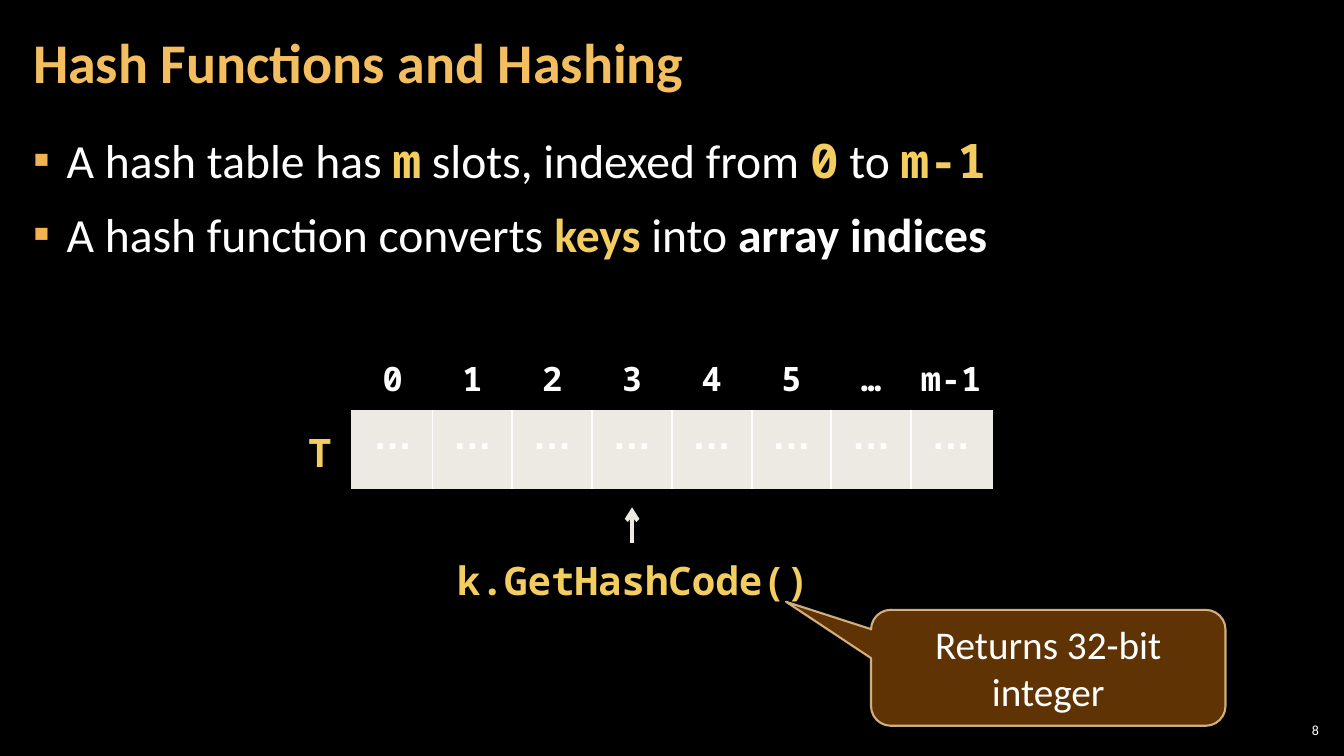
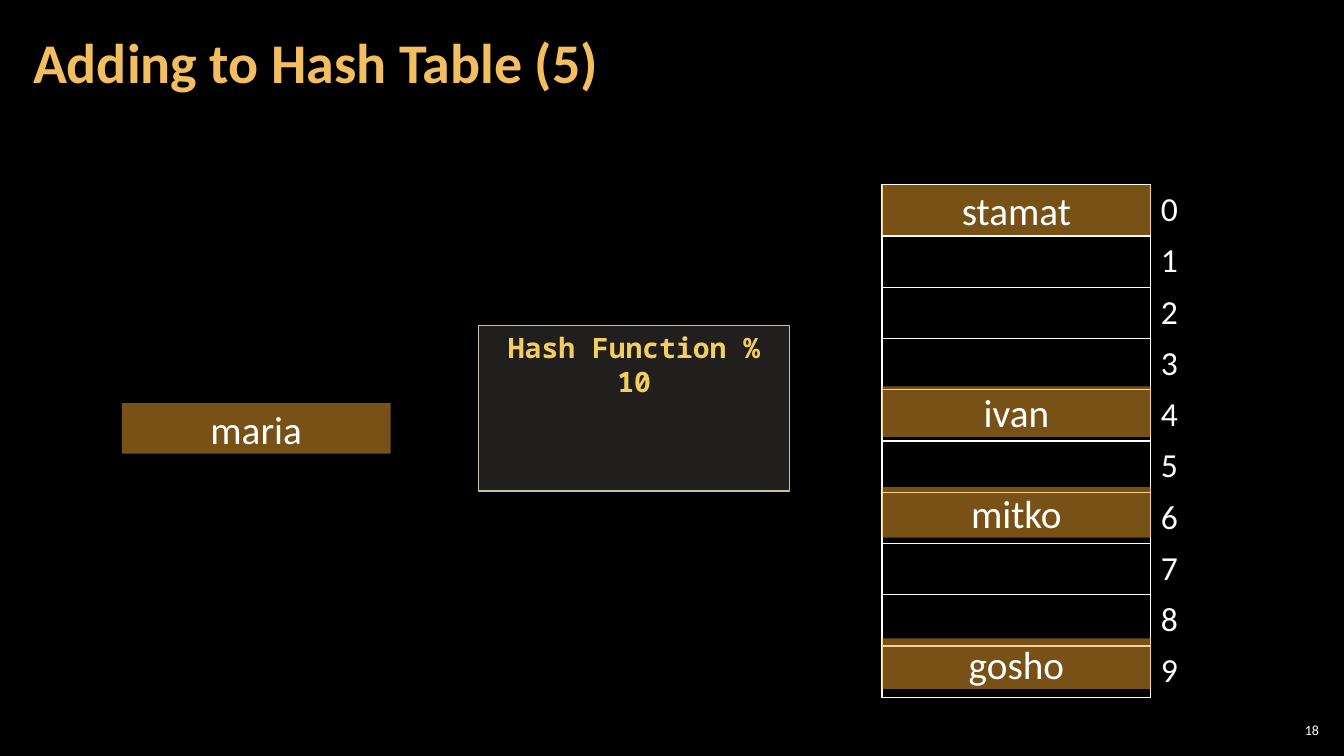
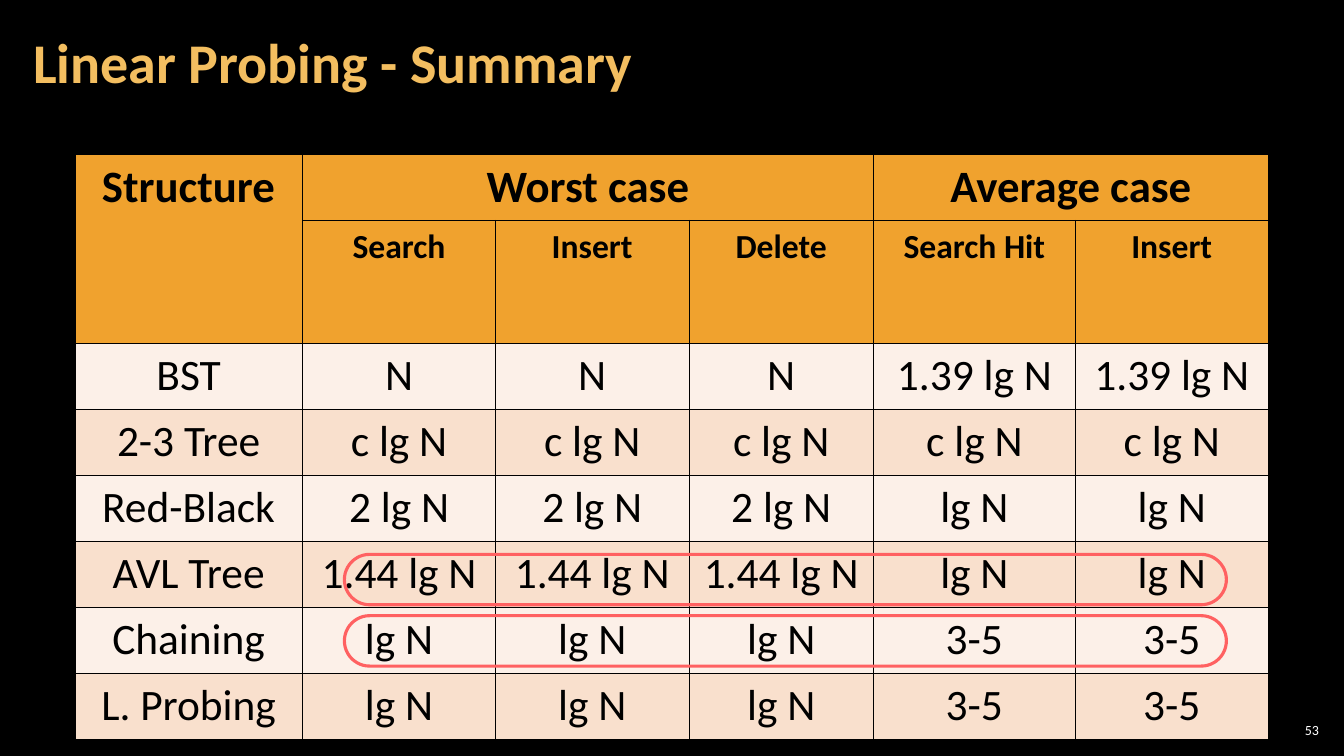
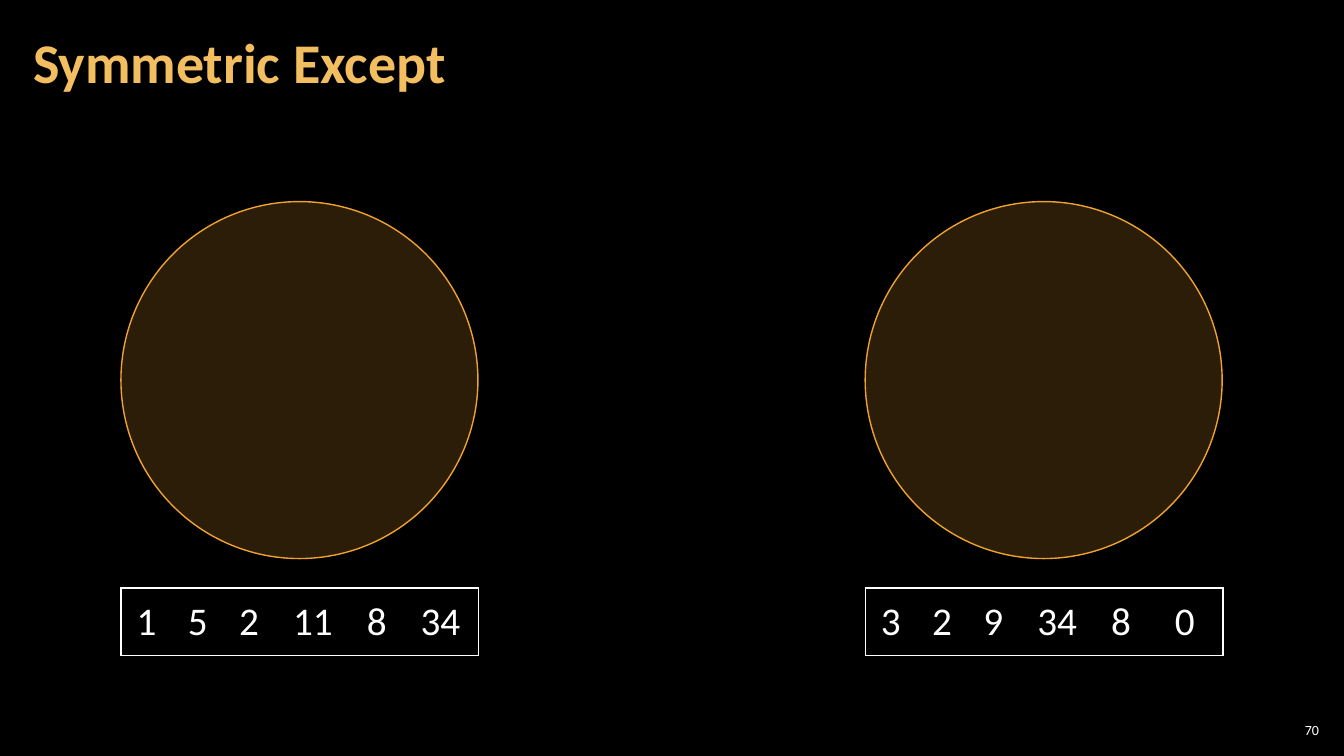
"""Builds four slides about hash tables."""
import dataclasses

import lxml.etree
import pptx
import pptx.dml.color
import pptx.enum.shapes
import pptx.enum.text
import pptx.oxml.ns
import pptx.util

SHAPE = pptx.enum.shapes.MSO_SHAPE
ALIGN = pptx.enum.text.PP_ALIGN
ANCHOR = pptx.enum.text.MSO_ANCHOR
NO_GRID_STYLE = "{2D5ABB26-0587-4C30-8999-92F81FD0307C}"


@dataclasses.dataclass(frozen=True)
class Type:
    """Look of a run of text."""
    size: float
    color: str = "FFFFFF"
    bold: bool = False
    font: str = "Calibri"


@dataclasses.dataclass(frozen=True)
class Theme:
    """Colours, type and insets shared by the slides."""
    background: str = "000000"
    white: str = "FFFFFF"
    cream: str = "ECEAE3"
    orange: str = "F0A22E"
    bullet: str = "F2B254"
    callout: str = "663606"
    callout_edge: str = "F8D49E"
    panel: str = "D9D5C7"
    panel_edge: str = "C7BFAC"
    marker: str = "FF6161"
    bands: tuple = ("FCF0E8", "F9E0CD")
    title: Type = Type(40, "F3BE60", True)
    number: Type = Type(10)
    body: Type = Type(34)
    body_strong: Type = Type(34, bold=True)
    body_key: Type = Type(34, "F3CD60", True)
    body_code: Type = Type(34, "F3CD60", True, "Noto Sans Mono")
    code: Type = Type(28, "F3CD60", True, "Noto Sans Mono")
    code_small: Type = Type(20, "F3CD60", True, "Noto Sans Mono")
    label: Type = Type(28)
    index: Type = Type(24)
    index_code: Type = Type(24, bold=True, font="Noto Sans Mono")
    slot: Type = Type(28, bold=True, font="Arial")
    group_head: Type = Type(32, "000000", True)
    column_head: Type = Type(24, "000000", True)
    entry: Type = Type(31, "000000")
    plain_insets: tuple = (0.1, 0.05)
    title_insets: tuple = (0.12, 0.04)
    slot_insets: tuple = (0.13, 0.05)
    summary_insets: tuple = (0.13, 0.06)
    tight_insets: tuple = (0.05, 0.04)


class Deck:
    """Style and current slide, on a grid of 160 columns and 90 rows."""

    def __init__(self, theme):
        """Start an empty deck in a theme."""
        self.theme = theme
        self.show = pptx.Presentation()
        self.unit = pptx.util.Inches(1) / 12
        self.show.slide_width = self.grid(160)
        self.show.slide_height = self.grid(90)

    def grid(self, count):
        """Turn grid steps into a length."""
        return pptx.util.Emu(round(count * self.unit))

    def area(self, at):
        """Turn column, row, width and height into lengths."""
        return [self.grid(count) for count in at]

    def element(self, parent, tag, **attributes):
        """Append a drawing element."""
        return lxml.etree.SubElement(parent, pptx.oxml.ns.qn("a:" + tag), attributes)

    def paint(self, fill, color, alpha=100):
        """Give a fill a colour and an opacity in percent, or clear it."""
        if color is None:
            fill.background()
            return
        fill.solid()
        fill.fore_color.rgb = pptx.dml.color.RGBColor.from_string(color)
        if alpha < 100:
            tint = fill._xPr.find(".//" + pptx.oxml.ns.qn("a:srgbClr"))
            self.element(tint, "alpha", val=str(alpha * 1000))

    def stroke(self, line, color, width=1, alpha=100):
        """Draw an outline, or clear it."""
        self.paint(line.fill, color, alpha)
        if color:
            line.width = pptx.util.Pt(width)

    def style_run(self, run, look):
        """Apply a type to a run."""
        run.font.size = pptx.util.Pt(look.size)
        run.font.name = look.font
        run.font.bold = look.bold
        run.font.color.rgb = pptx.dml.color.RGBColor.from_string(look.color)

    def set_text(self, frame, text, look, align=ALIGN.CENTER, spacing=None):
        """Fill a frame with one paragraph."""
        frame.text = text
        paragraph = frame.paragraphs[0]
        paragraph.alignment = align
        paragraph.line_spacing = spacing
        for run in paragraph.runs:
            self.style_run(run, look)

    def inset(self, holder, insets):
        """Set the side and top margins of a frame or cell."""
        side, top = map(pptx.util.Inches, insets)
        holder.margin_left = holder.margin_right = side
        holder.margin_top = holder.margin_bottom = top

    def slide(self, title, number):
        """Start a slide with its title and number."""
        self.page = self.show.slides.add_slide(self.show.slide_layouts[6])
        self.paint(self.page.background.fill, self.theme.background)
        self.text((2.5, 0.5, 125.6, 14.5), title, self.theme.title, ALIGN.LEFT,
                  self.theme.title_insets, ANCHOR.MIDDLE, spacing=0.9)
        self.text((151.8, 85.7, 5.7, 2.5), str(number), self.theme.number,
                  ALIGN.RIGHT, (0.04, 0.04), ANCHOR.MIDDLE)

    def text(self, at, text, look, align=ALIGN.CENTER, insets=None,
             anchor=ANCHOR.TOP, spacing=None, wrap=True):
        """Add a text box."""
        frame = self.page.shapes.add_textbox(*self.area(at)).text_frame
        frame.word_wrap = wrap
        frame.vertical_anchor = anchor
        self.inset(frame, insets or self.theme.plain_insets)
        self.set_text(frame, text, look, align, spacing)

    def bullets(self, at, points):
        """Add bulleted points, each a list of text and type pairs."""
        frame = self.page.shapes.add_textbox(*self.area(at)).text_frame
        frame.word_wrap = True
        self.inset(frame, self.theme.title_insets)
        for order, parts in enumerate(points):
            point = frame.add_paragraph() if order else frame.paragraphs[0]
            point.space_before = point.space_after = pptx.util.Pt(6)
            for words, look in parts:
                run = point.add_run()
                run.text = words
                self.style_run(run, look)
            properties = point._p.get_or_add_pPr()
            hang = self.grid(4)
            properties.set("marL", str(hang))
            properties.set("indent", str(-hang))
            self.element(self.element(properties, "buClr"), "srgbClr",
                         val=self.theme.bullet)
            self.element(properties, "buFont", typeface="Calibri")
            self.element(properties, "buChar", char="▪")

    def shape(self, kind, at, fill=None, alpha=100, edge=(None,), text="",
              look=None, anchor=ANCHOR.MIDDLE, adjust=()):
        """Add a preset shape."""
        shape = self.page.shapes.add_shape(kind, *self.area(at))
        shape.shadow.inherit = False
        for order, value in enumerate(adjust):
            shape.adjustments[order] = value
        self.paint(shape.fill, fill, alpha)
        self.stroke(shape.line, *edge)
        if text:
            shape.text_frame.word_wrap = True
            shape.text_frame.vertical_anchor = anchor
            self.set_text(shape.text_frame, text, look)

    def name_tag(self, column, row, name):
        """Add a name as stored in a slot."""
        self.shape(SHAPE.FLOWCHART_PROCESS, (column, row, 32, 6),
                   self.theme.orange, 50, text=name, look=self.theme.label)

    def arrow(self, start, end, color, width):
        """Add a line with an arrowhead at its end."""
        line = self.page.shapes.add_connector(
            pptx.enum.shapes.MSO_CONNECTOR.STRAIGHT, *self.area(start + end))
        self.stroke(line.line, color, width)
        self.element(line.line._get_or_add_ln(), "tailEnd", type="arrow")
        self.element(line._element.spPr, "effectLst")

    def edges(self, cell, borders):
        """Draw the left, right, top and bottom borders of a cell."""
        properties = cell._tc.get_or_add_tcPr()
        for side, border in zip("LRTB", borders):
            if border is None:
                self.element(self.element(properties, "ln" + side, w="0"), "noFill")
                continue
            color, width = border
            line = self.element(properties, "ln" + side,
                                w=str(pptx.util.Pt(width)))
            self.element(self.element(line, "solidFill"), "srgbClr", val=color)

    def table(self, corner, widths, heights, rows, looks, insets, fills=(None,),
              alpha=100, outer=None, inner=None, boxed=None,
              align=ALIGN.CENTER, anchor=ANCHOR.TOP, spacing=None, merges=()):
        """Add a table, with borders round its first boxed columns."""
        at = (*corner, sum(widths), sum(heights))
        table = self.page.shapes.add_table(
            len(rows), len(widths), *self.area(at)).table
        table.first_row = table.horz_banding = False
        style = table._tbl.tblPr.find(pptx.oxml.ns.qn("a:tableStyleId"))
        style.text = NO_GRID_STYLE
        for column, width in zip(table.columns, widths):
            column.width = self.grid(width)
        for row, height in zip(table.rows, heights):
            row.height = self.grid(height)
        boxed = boxed or len(widths)
        last = len(rows) - 1
        for r, entries in enumerate(rows):
            look, fill = looks[r % len(looks)], fills[r % len(fills)]
            for c, entry in enumerate(entries):
                cell = table.cell(r, c)
                self.inset(cell, insets)
                cell.vertical_anchor = anchor
                self.set_text(cell.text_frame, entry, look, align, spacing)
                inside = c < boxed
                self.edges(cell, (
                    (outer if c in (0, boxed) else inner) if c <= boxed else None,
                    (outer if c == boxed - 1 else inner) if inside else None,
                    (outer if r == 0 else inner) if inside else None,
                    (outer if r == last else inner) if inside else None))
                self.paint(cell.fill, fill, alpha)
        for first, final in merges:
            table.cell(*first).merge(table.cell(*final))


def hashing(deck):
    """Show slots and the hash function."""
    theme = deck.theme
    deck.slide("Hash Functions and Hashing", 8)
    deck.bullets((2.5, 15.1, 155, 73), [
        [("A hash table has ", theme.body), ("m", theme.body_code),
         (" slots, indexed from ", theme.body), ("0", theme.body_code),
         (" to ", theme.body), ("m-1", theme.body_code)],
        [("A hash function converts ", theme.body), ("keys", theme.body_key),
         (" into ", theme.body), ("array indices", theme.body_strong)]])
    slots = [9.5] * 8
    deck.table((42, 49), slots, [9], [["…"] * 8], [theme.slot],
               theme.slot_insets, [theme.cream], 20, (theme.cream, 3),
               (theme.white, 1.5), spacing=0.95)
    deck.table((42, 42), slots, [5.5],
               [["0", "1", "2", "3", "4", "5", "…", "m-1"]],
               [theme.index_code], theme.tight_insets, spacing=0.95)
    deck.text((35.5, 50.4, 5, 6.8), "T", theme.code, wrap=False)
    deck.text((52.9, 65.6, 45, 6.8), "k.GetHashCode()", theme.code)
    deck.arrow((75.25, 64.7), (75.25, 60.4), theme.cream, 3)
    deck.shape(SHAPE.ROUNDED_RECTANGULAR_CALLOUT, (103.7, 72.6, 42.2, 13.8),
               theme.callout, 95, (theme.callout_edge, 1.5, 80),
               "Returns 32-bit integer", theme.label,
               adjust=(-0.74, -0.57, 0.17))


def adding(deck):
    """Show names stored in a table of ten slots."""
    theme = deck.theme
    left, top, step = 105, 22, 6
    deck.slide("Adding to Hash Table (5)", 18)
    deck.table((left, top), [32, 6.7], [6.1] * 10,
               [["", str(slot)] for slot in range(10)], [theme.index],
               theme.plain_insets, outer=(theme.white, 1),
               inner=(theme.white, 1), boxed=1, align=ALIGN.LEFT)
    for slot, name in ((0, "stamat"), (6, "mitko"), (4, "ivan"), (9, "gosho")):
        deck.name_tag(left, top + slot * step, name)
    deck.name_tag(14.5, 48, "maria")
    deck.shape(SHAPE.RECTANGLE, (57, 38.75, 37, 19.7), theme.panel, 15,
               (theme.panel_edge, 1), "Hash Function % 10", theme.code_small,
               ANCHOR.TOP)


def summary(deck):
    """Compare the costs of the structures."""
    theme = deck.theme
    deck.slide("Linear Probing - Summary", 53)
    rows = [
        ["Structure", "Worst case", "", "", "Average case", ""],
        ["", "Search", "Insert", "Delete", "Search Hit", "Insert"],
        ["BST", "N", "N", "N", "1.39 lg N", "1.39 lg N"],
        ["2-3 Tree"] + ["c lg N"] * 5,
        ["Red-Black"] + ["2 lg N"] * 3 + ["lg N"] * 2,
        ["AVL Tree"] + ["1.44 lg N"] * 3 + ["lg N"] * 2,
        ["Chaining"] + ["lg N"] * 3 + ["3-5"] * 2,
        ["L. Probing"] + ["lg N"] * 3 + ["3-5"] * 2]
    rule = (theme.background, 0.25)
    deck.table((8.9, 18.3), [27.1, 23, 23, 22, 24, 23],
               [7.9, 14.6] + [7.86] * 6, rows,
               [theme.group_head, theme.column_head] + [theme.entry] * 6,
               theme.summary_insets, [theme.orange] * 2 + list(theme.bands) * 3,
               outer=rule, inner=rule,
               merges=[((0, 0), (1, 0)), ((0, 1), (0, 3)), ((0, 4), (0, 5))])
    for row in (66, 73.3):
        deck.shape(SHAPE.ROUNDED_RECTANGLE, (41, row, 105, 6),
                   edge=(theme.marker, 2.25), adjust=(0.5,))


def symmetric_except(deck):
    """Show two sets and their elements."""
    theme = deck.theme
    deck.slide("Symmetric Except", 70)
    sets = ((14.4, ["1", "5", "2", "11", "8", "34"]),
            (103, ["3", "2", "9", "34", "8", "0"]))
    for left, members in sets:
        deck.shape(SHAPE.OVAL, (left, 24, 42.5, 42.5), theme.orange, 18,
                   (theme.orange, 1))
        deck.table((left, 70), [6.1, 6.1, 6.1, 9.1, 6.1, 9.1], [8], [members],
                   [theme.label], theme.slot_insets, outer=(theme.white, 1),
                   anchor=ANCHOR.MIDDLE, spacing=0.95)


def main():
    """Build and save the slides."""
    deck = Deck(Theme())
    for build in (hashing, adding, summary, symmetric_except):
        build(deck)
    deck.show.save("out.pptx")


if __name__ == "__main__":
    main()
